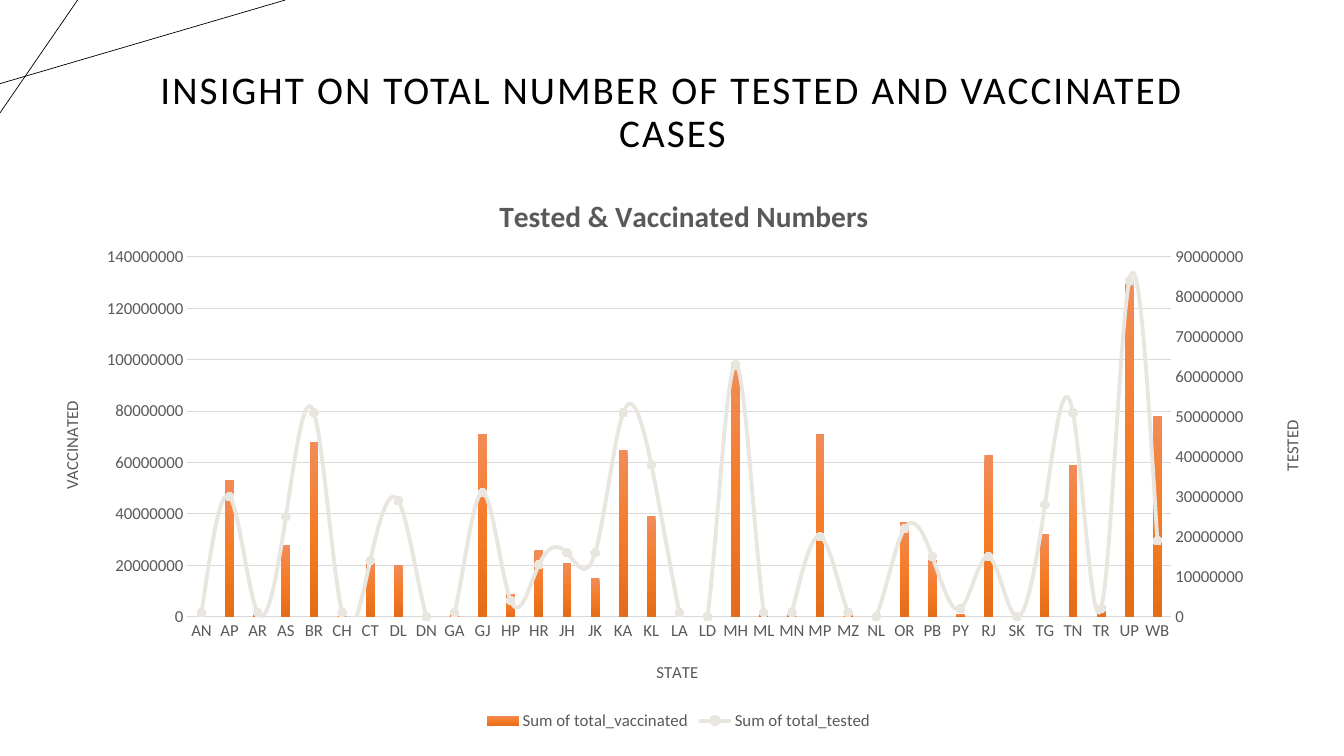
from copy import deepcopy
from pptx import Presentation
from pptx.chart.data import CategoryChartData as Data
from pptx.dml.color import RGBColor as Color
from pptx.enum.chart import XL_CHART_TYPE as Kind, XL_LEGEND_POSITION as Spot
from pptx.enum.chart import XL_MARKER_STYLE as Mark, XL_TICK_MARK as Tick
from pptx.enum.text import MSO_ANCHOR as Anchor, PP_ALIGN as Align
from pptx.oxml import parse_xml
from pptx.oxml.ns import nsdecls, qn
from pptx.util import Inches, Pt

BLACK = Color(0, 0, 0)
GRAY = Color(0x59, 0x59, 0x59)
RULE = Color(0xD9, 0xD9, 0xD9)
SAND = Color(0xE9, 0xE6, 0xDF)
DOT = Color(0xE9, 0xE6, 0xDE)
FADE = [(0, Color(0xF1, 0x8C, 0x57)), (0.5, Color(0xF6, 0x7B, 0x28)),
        (1, Color(0xE5, 0x6C, 0x19))]
MILLION = 1000000
LEFT, TOP, WIDE, HIGH = 0.31, 1.63, 12.84, 5.66  # chart frame

STATES = ("AN AP AR AS BR CH CT DL DN GA GJ HP HR JH JK KA KL LA LD MH ML MN "
          "MP MZ NL OR PB PY RJ SK TG TN TR UP WB").split()
# Both series are in millions
DOSES = [0, 53, 1, 28, 68, 1, 22, 20, 1, 2, 71, 9, 26, 21, 15, 65, 39, 0, 0,
         98, 2, 2, 71, 1, 1, 37, 22, 1, 63, 1, 32, 59, 4, 131, 78]
TESTS = [1, 30, 1, 25, 51, 1, 14, 29, 0, 1, 31, 4, 13, 16, 16, 51, 38, 1, 0,
         63, 1, 1, 20, 1, 0, 22, 15, 2, 15, 0, 28, 51, 2, 84, 19]


def node(tag, inner=""):
    """Make a chart XML element."""
    return parse_xml(f"<c:{tag} {nsdecls('c')}>{inner}</c:{tag}>")


def layout(x, y, wide=None, high=None):
    """Make a manual layout from slide inches."""
    parts = {"x": (x - LEFT) / WIDE, "y": (y - TOP) / HIGH}
    inner = '<c:xMode val="edge"/><c:yMode val="edge"/>'
    if wide:
        parts.update(w=wide / WIDE, h=high / HIGH)
        inner = '<c:layoutTarget val="inner"/>' + inner
    inner += "".join(f'<c:{key} val="{val:.4f}"/>' for key, val in parts.items())
    return node("layout", f"<c:manualLayout>{inner}</c:manualLayout>")


def drop(owner, tag):
    """Remove the children with a tag, if any."""
    for old in owner.findall(qn(tag)):
        owner.remove(old)


def place(title, x, y):
    """Put a chart or axis title at a point on the slide."""
    drop(title, "c:layout")
    title.find(qn("c:tx")).addnext(layout(x, y))


def assign(axis, **vals):
    """Set simple values in an axis element."""
    for tag, val in vals.items():
        next(axis.iter(qn(f"c:{tag}"))).set("val", str(val))


class Deck:
    """Holds the style and the current slide."""

    def __init__(self, font="Calibri"):
        """Start a deck with one blank slide."""
        self.font = font
        self.file = Presentation()
        self.file.slide_width, self.file.slide_height = Inches(13.33), Inches(7.5)
        self.slide = self.file.slides.add_slide(self.file.slide_layouts[6])

    def style(self, font, size, color, bold=False):
        """Apply face, size and colour to a font."""
        font.name, font.size, font.bold = self.font, Pt(size), bold
        font.color.rgb = color

    def line(self, *ends):
        """Draw a thin black line."""
        line = self.slide.shapes.add_connector(1, *map(Inches, ends))
        line.line.color.rgb, line.line.width = BLACK, Pt(0.5)
        line._element.spPr.append(parse_xml(f"<a:effectLst {nsdecls('a')}/>"))

    def head(self, text, *box):
        """Add the centred slide heading."""
        frame = self.slide.shapes.add_textbox(*map(Inches, box)).text_frame
        frame.word_wrap, frame.vertical_anchor = True, Anchor.MIDDLE
        para = frame.paragraphs[0]
        para.text, para.alignment, para.line_spacing = text, Align.CENTER, 0.9
        self.style(para.font, 28, BLACK)
        para.runs[0].font._element.set("spc", "150")

    def title(self, owner, text, x, y, size=12, bold=False, turn=False):
        """Fill and place a chart or axis title."""
        frame = owner.text_frame
        frame.text = text
        self.style(frame.paragraphs[0].font, size, GRAY, bold)
        if turn:
            frame._txBody.bodyPr.set("rot", "-5400000")
            frame._txBody.bodyPr.set("vert", "horz")
        place(owner._element, x, y)

    def axis(self, axis):
        """Style an axis and its labels."""
        axis.major_tick_mark = axis.minor_tick_mark = Tick.NONE
        self.style(axis.tick_labels.font, 12, GRAY)

    def chart(self):
        """Add columns of vaccinated and a line of tested."""
        data = Data(number_format="0")
        data.categories = STATES
        for name, vals in (("vaccinated", DOSES), ("tested", TESTS)):
            data.add_series(f"Sum of total_{name}", [val * MILLION for val in vals])
        frame = map(Inches, (LEFT, TOP, WIDE, HIGH))
        chart = self.slide.shapes.add_chart(
            Kind.COLUMN_CLUSTERED, *frame, data).chart
        self.style(chart.font, 10, BLACK)
        self.title(chart.chart_title, "Tested & Vaccinated Numbers",
                   4.9, 1.89, 21, True)
        chart.has_legend = True
        chart.legend.position, chart.legend.include_in_layout = Spot.BOTTOM, False
        self.style(chart.legend.font, 12, GRAY)

        cats, vals = chart.category_axis, chart.value_axis
        self.axis(cats)
        cats.format.line.color.rgb, cats.format.line.width = RULE, Pt(1)
        self.title(cats.axis_title, "STATE", 6.48, 6.53)
        self.axis(vals)
        vals.minimum_scale, vals.maximum_scale = 0, 140 * MILLION
        vals.major_unit = 20 * MILLION
        vals.format.line.fill.background()
        grid = vals.major_gridlines.format.line
        grid.color.rgb, grid.width = RULE, Pt(0.75)
        self.title(vals.axis_title, "VACCINATED", 0.57, 3.95, turn=True)

        self.split(chart)
        self.paint(chart)

    def split(self, chart):
        """Move the second series to a line on a right axis."""
        bars = chart.plots[0]._element
        area = bars.getparent()
        drop(area, "c:layout")
        area.insert(0, layout(1.86, 2.55, 9.76, 3.57))
        cats, vals = area.find(qn("c:catAx")), area.find(qn("c:valAx"))
        right, base = deepcopy(vals), deepcopy(cats)
        vals.addnext(right)
        right.addnext(base)
        assign(right, axId=502, crossAx=501, crosses="max", axPos="r",
               max=90 * MILLION, majorUnit=10 * MILLION)
        drop(right, "c:majorGridlines")
        name = right.find(qn("c:title"))
        next(name.iter(qn("a:t"))).text = "TESTED"
        place(name, 12.67, 4.14)
        assign(base, axId=501, crossAx=502, delete=1)
        drop(base, "c:title")

        line = node("lineChart", '<c:grouping val="standard"/>'
                    '<c:varyColors val="0"/><c:marker val="1"/>'
                    '<c:axId val="501"/><c:axId val="502"/>')
        tested = bars.findall(qn("c:ser"))[1]
        drop(tested, "c:invertIfNegative")
        line.insert(2, tested)
        bars.addnext(line)

    def paint(self, chart):
        """Colour the columns and the line."""
        bars, line = chart.plots
        bars.gap_width, bars.vary_by_categories = 219, False
        doses, tests = bars.series[0], line.series[0]
        fill = doses.format.fill
        fill.gradient()
        fill.gradient_angle = 270
        stops = next(doses._element.iter(qn("a:gsLst")))
        stops.append(deepcopy(stops[0]))
        for stop, (spot, color) in zip(fill.gradient_stops, FADE):
            stop.position, stop.color.rgb = spot, color
        tests.smooth = True
        tests.format.line.color.rgb, tests.format.line.width = SAND, Pt(2.75)
        mark = tests.marker
        mark.style, mark.size = Mark.CIRCLE, 6
        mark.format.fill.solid()
        mark.format.fill.fore_color.rgb = DOT
        mark.format.line.color.rgb = DOT


deck = Deck()
deck.line(0, 0.83, 2.83, 0)
deck.line(0.77, 0, 0, 1.12)
deck.head("INSIGHT ON TOTAL NUMBER OF TESTED AND VACCINATED CASES",
          0.92, 0.4, 11.5, 1.45)
deck.chart()
deck.file.save("out.pptx")
